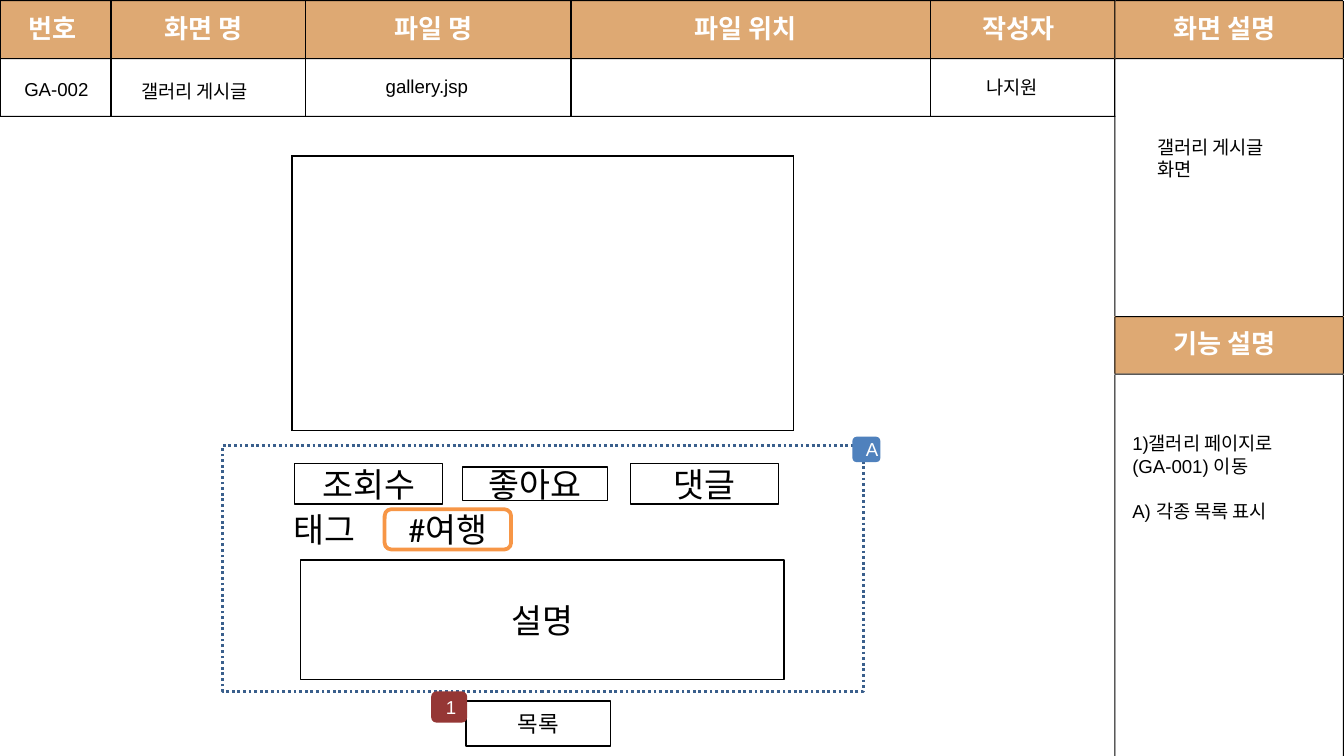
from lxml.etree import SubElement as Sub
from pptx import Presentation
from pptx.dml.color import RGBColor as Rgb
from pptx.enum.dml import MSO_LINE as Dash
from pptx.enum.shapes import MSO_SHAPE as Kind
from pptx.enum.text import MSO_ANCHOR as Anchor, PP_ALIGN as Align
from pptx.oxml.ns import qn
from pptx.util import Cm, Pt

HUE = {"tan": "DEA973", "black": "000000", "white": "FFFFFF", "navy": "3A5F8C",
       "blue": "4F81BD", "red": "953735", "orange": "F79646"}
WIDE, HIGH = 25.4, 14.28
SIDE = 21.06  # left edge of the side panel
PANEL = WIDE - SIDE
BAND = 1.09  # height of a header band
THIN = 0.02  # thickness of a grid bar
KOR = "Noto Sans CJK KR"


def tint(name):
    return Rgb.from_string(HUE[name])


class Board:
    """Holds the shared style and the slide being drawn."""

    def __init__(self, slide):
        self.slide = slide
        self.shapes = slide.shapes

    def style(self, para, size, font, hue, bold=False):
        for run in para.runs:
            run.font.size = Pt(size)
            run.font.name = font
            run.font.bold = bold
            run.font.color.rgb = tint(hue)
            if font == KOR:
                Sub(run._r.get_or_add_rPr(), qn("a:ea"), typeface=font)

    def paint(self, shape, fill, line, width=0.75, dash=None):
        shape.shadow.inherit = False
        if fill:
            shape.fill.solid()
            shape.fill.fore_color.rgb = tint(fill)
        else:
            shape.fill.background()
        if line:
            shape.line.color.rgb = tint(line)
            shape.line.width = Pt(width)
            if dash:
                shape.line.dash_style = dash
        else:
            shape.line.fill.background()

    def text(self, words, x, y, w, h, size=10, font="Arial", gap=0):
        """Add left-aligned text; gap is the space before the last paragraph."""
        frame = self.shapes.add_textbox(Cm(x), Cm(y), Cm(w), Cm(h)).text_frame
        frame.word_wrap = True
        frame.text = words
        for para in frame.paragraphs:
            self.style(para, size, font, "black")
        if gap:
            frame.paragraphs[-1].space_before = Pt(gap)

    def head(self, words, x, y, w):
        frame = self.shapes.add_textbox(Cm(x), Cm(y), Cm(w), Cm(0.6)).text_frame
        frame.word_wrap = True
        frame.margin_left = frame.margin_right = frame.margin_bottom = 0
        frame.margin_top = Cm(0.04)
        frame.text = words
        self.style(frame.paragraphs[0], 14, KOR, "white", True)

    def box(self, x, y, w, h, fill="white", line="black", width=0.75, words="",
            size=18, font="Calibri", hue="black", kind=Kind.RECTANGLE, dash=None):
        shape = self.shapes.add_shape(kind, Cm(x), Cm(y), Cm(w), Cm(h))
        self.paint(shape, fill, line, width, dash)
        if words:
            frame = shape.text_frame
            frame.vertical_anchor = Anchor.MIDDLE
            frame.text = words
            frame.paragraphs[0].alignment = Align.CENTER
            self.style(frame.paragraphs[0], size, font, hue)

    def outline(self, paths, fill=None, line=None):
        """Draw all paths as one shape; they are closed if it has a fill."""
        pen = None
        for path in paths:
            first, *rest = [(Cm(x), Cm(y)) for x, y in path]
            if pen:
                pen.move_to(*first)
            else:
                pen = self.shapes.build_freeform(*first)
            pen.add_line_segments(rest, close=bool(fill))
        self.paint(pen.convert_to_shape(), fill, line)

    def bars(self, rects, fill):
        self.outline([[(x, y), (x + w, y), (x + w, y + h), (x, y + h)]
                      for x, y, w, h in rects], fill)

    def frame(self, x, y, w, h):
        """Add a one-cell table with a black border."""
        table = self.shapes.add_table(1, 1, Cm(x), Cm(y), Cm(w), Cm(h)).table
        cell = table.cell(0, 0)
        props = cell._tc.get_or_add_tcPr()
        for edge in ("lnL", "lnR", "lnT", "lnB"):
            line = Sub(props, qn(f"a:{edge}"), w=str(Pt(1)))
            Sub(Sub(line, qn("a:solidFill")), qn("a:srgbClr"), val=HUE["black"])
        cell.fill.solid()
        cell.fill.fore_color.rgb = tint("white")


def main():
    deck = Presentation()
    deck.slide_width, deck.slide_height = Cm(WIDE), Cm(HIGH)
    board = Board(deck.slides.add_slide(deck.slide_layouts[6]))

    # Header grid
    board.bars([(0, 0.02, SIDE, BAND)], "tan")
    board.outline([[(x, 0), (x, 2.21)] for x in (0, 2.1, 5.77, 10.79, 17.59, SIDE)],
                  line="black")
    board.bars([(0, y, SIDE + THIN, THIN) for y in (0, 1.1, 2.19)], "black")

    # Side panel
    board.bars([(SIDE, y, PANEL, BAND) for y in (0.02, 5.97)], "tan")
    board.bars([(SIDE, y, PANEL, THIN) for y in (0, 1.1, 5.97, 7.06)]
               + [(x, 0, THIN, HIGH) for x in (SIDE, WIDE - THIN)], "black")

    for words, x, y, w in (
            ("번호", 0.54, 0.2, 1.07), ("화면 명", 3.11, 0.2, 1.7),
            ("파일 명", 7.46, 0.2, 1.7), ("파일 위치", 13.13, 0.2, 3),
            ("작성자", 18.57, 0.2, 1.55), ("화면 설명", 22.17, 0.2, 2.21),
            ("기능 설명", 22.17, 6.15, 2.21)):
        board.head(words, x, y, w)
    for words, x, y, w in (
            ("GA-002", 0.21, 1.35, 1.9), ("갤러리 게시글", 2.42, 1.38, 3.61),
            ("gallery.jsp", 7.04, 1.29, 4.24), ("나지원", 18.39, 1.31, 2.54),
            ("갤러리 게시글\n화면", 21.62, 2.44, 3.7)):
        board.text(words, x, y, w, 0.68)
    board.text("1)갤러리 페이지로(GA-001) 이동\nA) 각종 목록 표시",
               21.15, 8.04, 4.17, 1.96, gap=12)

    # Gallery post
    board.frame(5.52, 2.95, 9.48, 5.18)
    for words, x, y, w, h in (
            ("설명", 5.68, 10.58, 9.14, 2.26), ("좋아요", 8.74, 8.82, 2.74, 0.63),
            ("조회수", 5.57, 8.76, 2.8, 0.76), ("댓글", 11.92, 8.76, 2.8, 0.76)):
        board.box(x, y, w, h, words=words)
    board.box(8.8, 13.25, 2.74, 0.84, width=1, words="목록", size=12)
    board.text("태그", 5.3, 9.48, 1.98, 1.02, 18, "Calibri")
    board.box(7.27, 9.62, 2.39, 0.76, line="orange", width=2, words="#여행",
              kind=Kind.ROUNDED_RECTANGLE)

    # Callouts
    board.box(4.21, 8.41, 12.11, 4.65, None, "navy", 1.5, dash=Dash.ROUND_DOT)
    for words, x, y, w, h, fill in (("A", 16.11, 8.25, 0.53, 0.48, "blue"),
                                    ("1", 8.15, 13.06, 0.68, 0.59, "red")):
        board.box(x, y, w, h, fill, None, words=words, size=10, font="Arial",
                  hue="white", kind=Kind.ROUNDED_RECTANGLE)
    deck.save("out.pptx")


if __name__ == "__main__":
    main()
